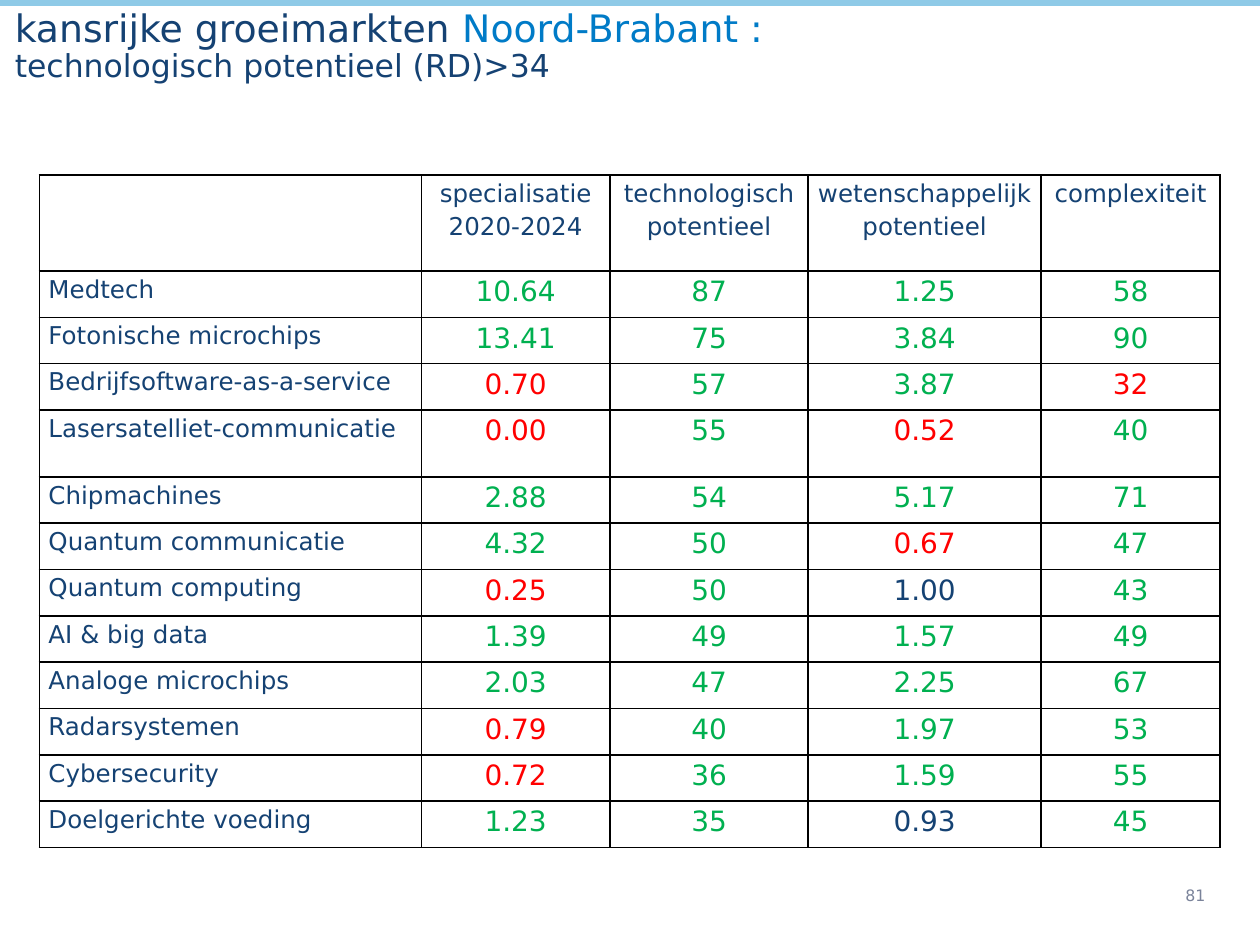
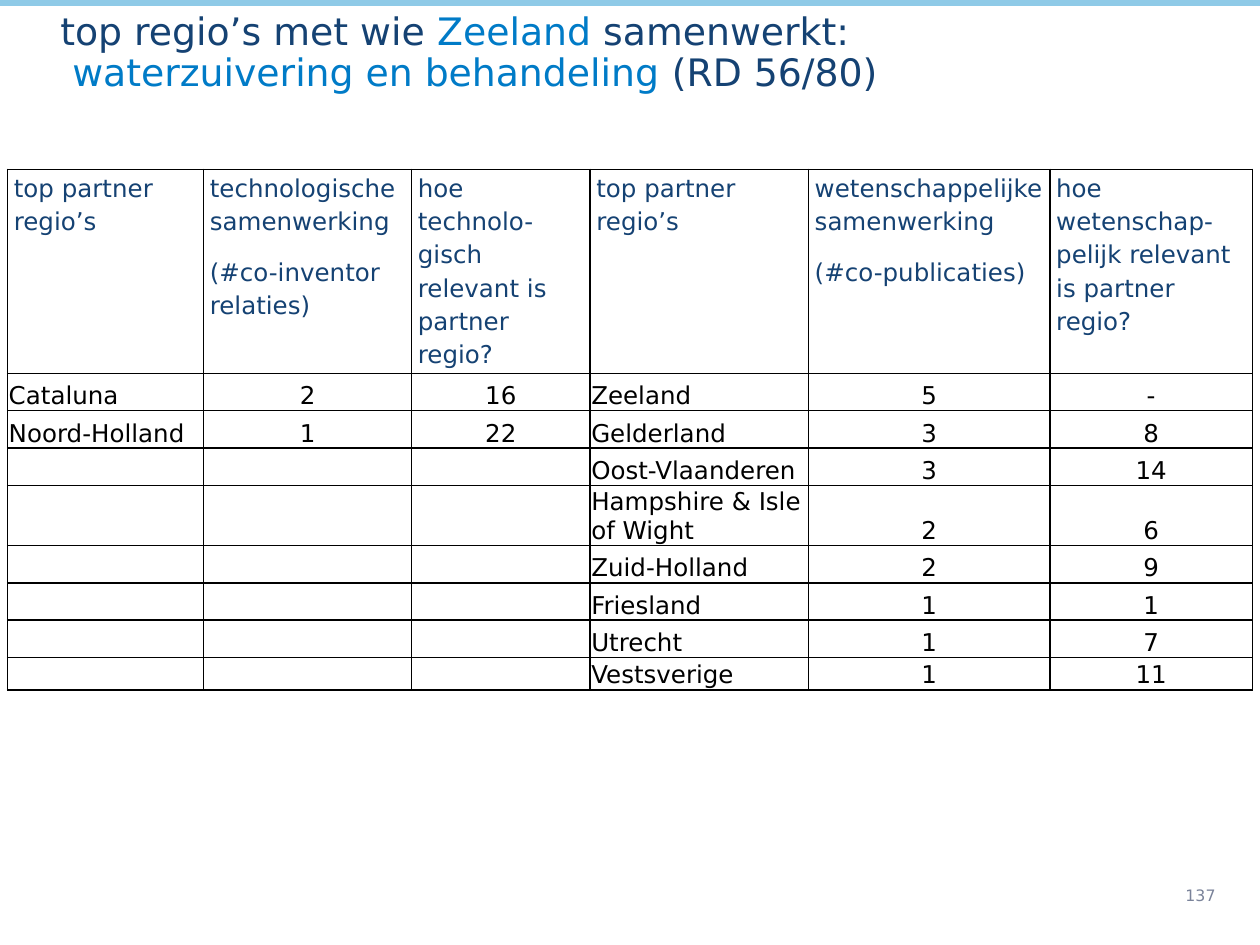
from dataclasses import dataclass

from lxml.etree import SubElement
from pptx import Presentation
from pptx.dml.color import RGBColor
from pptx.enum.shapes import MSO_SHAPE
from pptx.enum.text import MSO_ANCHOR, PP_ALIGN
from pptx.oxml.ns import qn
from pptx.util import Pt


@dataclass(frozen=True)
class Theme:
    """Colours, font and type sizes shared by the slides."""

    font: str = "DejaVu Sans"
    navy: str = "154273"
    blue: str = "007BC7"
    band: str = "8FCAE7"
    green: str = "00B050"
    red: str = "FF0000"
    black: str = "000000"
    grey: str = "7A839A"
    title_size: float = 21.6
    subtitle_size: float = 18
    score_size: float = 16
    table_size: float = 14
    number_size: float = 9
    border_width: float = 1


@dataclass(frozen=True)
class CellStyle:
    """Look of one kind of table cell, with insets as left, top, right, bottom."""

    insets: tuple
    color: str
    size: float
    align: PP_ALIGN = PP_ALIGN.LEFT
    anchor: MSO_ANCHOR = MSO_ANCHOR.TOP
    line_spacing: float = 1.0
    space_after: float = 0


THEME = Theme()
MARKET_INSETS = (5.2, 0, 5.2, 0)
HEADER_INSETS = (3.6, 0.7, 3.6, 0)
PARTNER_INSETS = (0.7, 0.7, 0.7, 0)

MARKET_HEADERS = ["", "specialisatie 2020-2024", "technologisch potentieel",
                  "wetenschappelijk potentieel", "complexiteit"]
MARKETS = [
    ("Medtech", "10.64", "87", "1.25", "58"),
    ("Fotonische microchips", "13.41", "75", "3.84", "90"),
    ("Bedrijfsoftware-as-a-service", "0.70", "57", "3.87", "32"),
    ("Lasersatelliet-communicatie", "0.00", "55", "0.52", "40"),
    ("Chipmachines", "2.88", "54", "5.17", "71"),
    ("Quantum communicatie", "4.32", "50", "0.67", "47"),
    ("Quantum computing", "0.25", "50", "1.00", "43"),
    ("AI & big data", "1.39", "49", "1.57", "49"),
    ("Analoge microchips", "2.03", "47", "2.25", "67"),
    ("Radarsystemen", "0.79", "40", "1.97", "53"),
    ("Cybersecurity", "0.72", "36", "1.59", "55"),
    ("Doelgerichte voeding", "1.23", "35", "0.93", "45"),
]
SCORE_LIMITS = [(1, 1), (34, 34), (0.9, 1.1), (40, 40)]

PARTNER_HEADERS = [
    "top partner regio’s",
    "technologische samenwerking\n(#co-inventor relaties)",
    "hoe technolo-gisch relevant is partner regio?",
    "top partner regio’s",
    "wetenschappelijke samenwerking\n(#co-publicaties)",
    "hoe wetenschap-pelijk relevant is partner regio?",
]
TECHNOLOGY_PARTNERS = [("Cataluna", "2", "16"), ("Noord-Holland", "1", "22")]
SCIENCE_PARTNERS = [
    ("Zeeland", "5", "-"),
    ("Gelderland", "3", "8"),
    ("Oost-Vlaanderen", "3", "14"),
    ("Hampshire & Isle of Wight", "2", "6"),
    ("Zuid-Holland", "2", "9"),
    ("Friesland", "1", "1"),
    ("Utrecht", "1", "7"),
    ("Vestsverige", "1", "11"),
]


def format_run(run, size, color):
    """Apply the theme font with a size and colour."""
    run.font.name = THEME.font
    run.font.size = Pt(size)
    run.font.color.rgb = RGBColor.from_string(color)


def add_text_box(slide, box, anchor):
    """Add an empty wrapping text box and return its text frame."""
    text_frame = slide.shapes.add_textbox(*map(Pt, box)).text_frame
    text_frame.word_wrap = True
    text_frame.vertical_anchor = anchor
    return text_frame


def add_band(slide, box):
    """Draw the coloured band along the top edge."""
    band = slide.shapes.add_shape(MSO_SHAPE.RECTANGLE, *map(Pt, box))
    band.shadow.inherit = False
    band.fill.solid()
    band.fill.fore_color.rgb = RGBColor.from_string(THEME.band)
    band.line.color.rgb = RGBColor.from_string(THEME.band)
    band.line.width = Pt(0.75)


def add_title(slide, box, lines):
    """Write title lines, each a size and a list of coloured pieces."""
    text_frame = add_text_box(slide, box, MSO_ANCHOR.BOTTOM)
    text_frame.margin_top = text_frame.margin_bottom = 0
    paragraph = text_frame.paragraphs[0]
    paragraph.line_spacing = 0.9
    for index, (size, pieces) in enumerate(lines):
        if index:
            paragraph.add_line_break()
        for text, color in pieces:
            run = paragraph.add_run()
            run.text = text
            format_run(run, size, color)


def add_page_number(slide, box, number):
    """Write the page number in the lower right corner."""
    text_frame = add_text_box(slide, box, MSO_ANCHOR.MIDDLE)
    text_frame.text = str(number)
    format_run(text_frame.paragraphs[0].runs[0], THEME.number_size, THEME.grey)


def add_frame(presentation, number, title_box, title_lines):
    """Add a slide with the shared band, title and page number."""
    slide = presentation.slides.add_slide(presentation.slide_layouts[6])
    add_band(slide, (0, 0, 720, 2.9))
    add_title(slide, title_box, title_lines)
    add_page_number(slide, (670.3, 496.8, 49, 29.5), number)
    return slide


def add_borders(cell):
    """Give a cell a thin black line on all four sides."""
    properties = cell._tc.get_or_add_tcPr()
    for side in ("lnL", "lnR", "lnT", "lnB"):
        line = SubElement(properties, qn(f"a:{side}"), w=str(Pt(THEME.border_width)))
        fill = SubElement(line, qn("a:solidFill"))
        SubElement(fill, qn("a:srgbClr"), val=THEME.black)


def fill_cell(cell, text, style):
    """Write text in a cell and apply its style."""
    add_borders(cell)
    cell.fill.background()
    cell.margin_left, cell.margin_top, cell.margin_right, cell.margin_bottom = map(Pt, style.insets)
    cell.vertical_anchor = style.anchor
    cell.text_frame.text = text
    for paragraph in cell.text_frame.paragraphs:
        paragraph.alignment = style.align
        paragraph.line_spacing = style.line_spacing
        paragraph.space_after = Pt(style.space_after)
        for run in paragraph.runs:
            format_run(run, style.size, style.color)
        if not paragraph.runs:
            SubElement(paragraph._p, qn("a:endParaRPr"), sz=str(int(style.size * 100)))


def add_grid(slide, position, widths, heights, rows, choose_style):
    """Add a bordered table whose cell styles follow from row, column and text."""
    size = (sum(widths), sum(heights))
    frame = slide.shapes.add_table(len(heights), len(widths), *map(Pt, position + size))
    table = frame.table
    table.first_row = table.horz_banding = False
    for column, width in zip(table.columns, widths):
        column.width = Pt(width)
    for row, height in zip(table.rows, heights):
        row.height = Pt(height)
    for row_index, texts in enumerate(rows):
        for column_index, text in enumerate(texts):
            style = choose_style(row_index, column_index, text)
            fill_cell(table.cell(row_index, column_index), text, style)


def score_color(text, limits):
    """Return red below the first limit, green from the second, navy between."""
    red_below, green_from = limits
    if float(text) < red_below:
        return THEME.red
    return THEME.green if float(text) >= green_from else THEME.navy


def market_style(row, column, text):
    """Choose the style of a cell in the growth market table."""
    color, size = THEME.navy, THEME.table_size
    if row and column:
        color, size = score_color(text, SCORE_LIMITS[column - 1]), THEME.score_size
    align = PP_ALIGN.CENTER if column else PP_ALIGN.LEFT
    return CellStyle(MARKET_INSETS, color, size, align, line_spacing=1.15, space_after=10)


def partner_style(row, column, text):
    """Choose the style of a cell in the partner region table."""
    if row == 0:
        return CellStyle(HEADER_INSETS, THEME.navy, THEME.table_size,
                         line_spacing=1.15, space_after=10)
    align = PP_ALIGN.CENTER if column % 3 else PP_ALIGN.LEFT
    return CellStyle(PARTNER_INSETS, THEME.black, THEME.table_size, align, MSO_ANCHOR.BOTTOM)


def add_market_slide(presentation):
    """Build the slide with promising growth markets."""
    slide = add_frame(presentation, 81, (1.4, 4, 717, 44.3), [
        (THEME.title_size, [("kansrijke groeimarkten ", THEME.navy),
                            ("Noord-Brabant :", THEME.blue)]),
        (THEME.subtitle_size, [("technologisch potentieel (RD)>34", THEME.navy)]),
    ])
    heights = [54.9] + [38.2 if name.startswith("Laser") else 26.5 for name, *_ in MARKETS]
    add_grid(slide, (22.5, 100), [218.3, 107.8, 113.3, 133.1, 102.3], heights,
             [MARKET_HEADERS, *MARKETS], market_style)


def add_partner_slide(presentation):
    """Build the slide with top partner regions."""
    slide = add_frame(presentation, 137, (27.4, 4, 686, 50), [
        (THEME.title_size, [("top regio’s met wie ", THEME.navy), ("Zeeland", THEME.blue),
                            (" samenwerkt:", THEME.navy)]),
        (THEME.title_size, [(" waterzuivering en behandeling ", THEME.blue),
                            ("(RD 56/80)", THEME.navy)]),
    ])
    missing = len(SCIENCE_PARTNERS) - len(TECHNOLOGY_PARTNERS)
    technology = TECHNOLOGY_PARTNERS + [("", "", "")] * missing
    rows = [left + right for left, right in zip(technology, SCIENCE_PARTNERS)]
    heights = [114.2] + [21.35] * 3 + [33.2] + [21.35] * 3 + [18.5]
    add_grid(slide, (4.3, 96.8), [112, 118.9, 102, 124.8, 138, 115.7], heights,
             [PARTNER_HEADERS, *rows], partner_style)


def main():
    """Build and save the presentation."""
    presentation = Presentation()
    presentation.slide_width, presentation.slide_height = Pt(720), Pt(540)
    add_market_slide(presentation)
    add_partner_slide(presentation)
    presentation.save("out.pptx")


if __name__ == "__main__":
    main()
